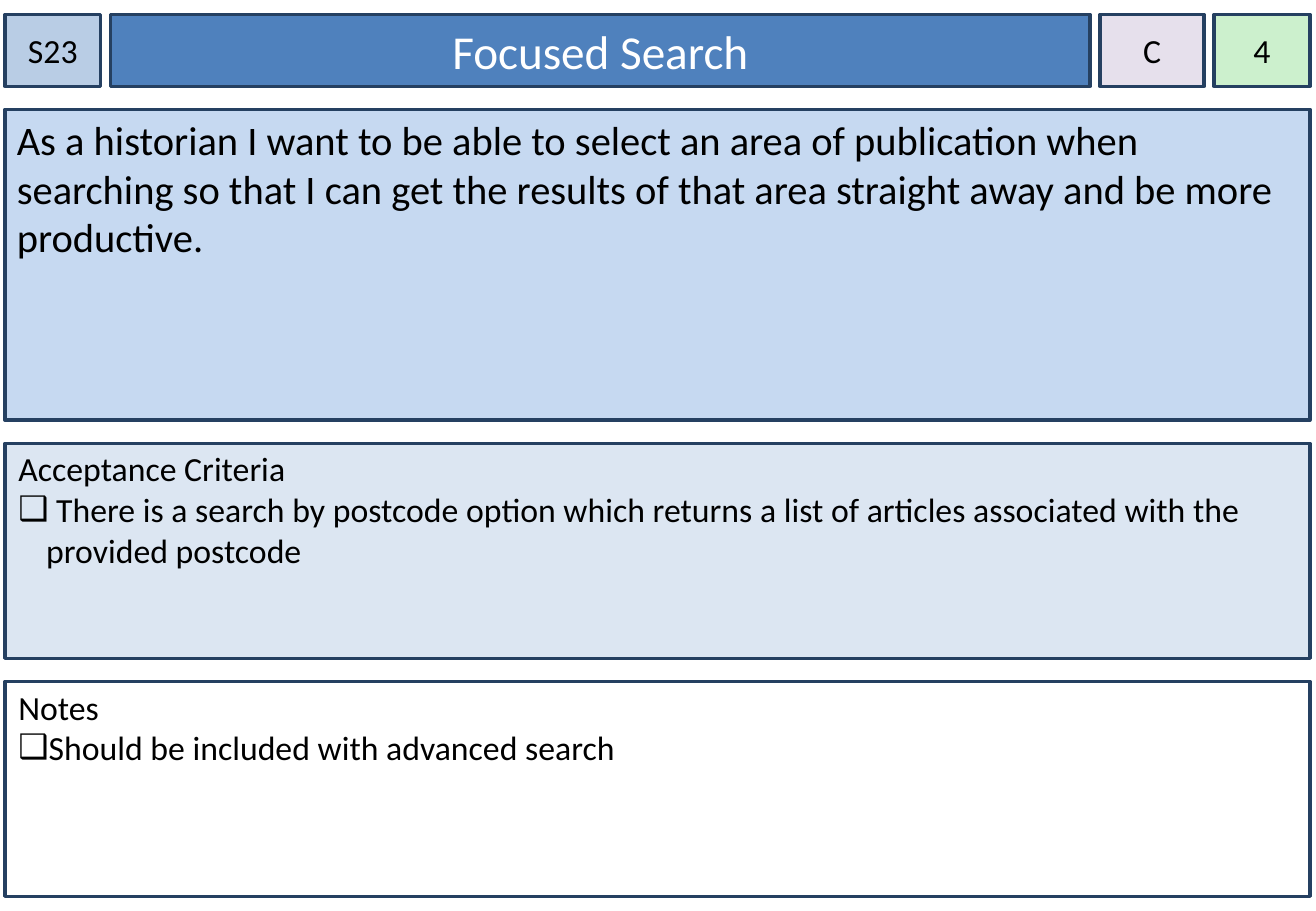
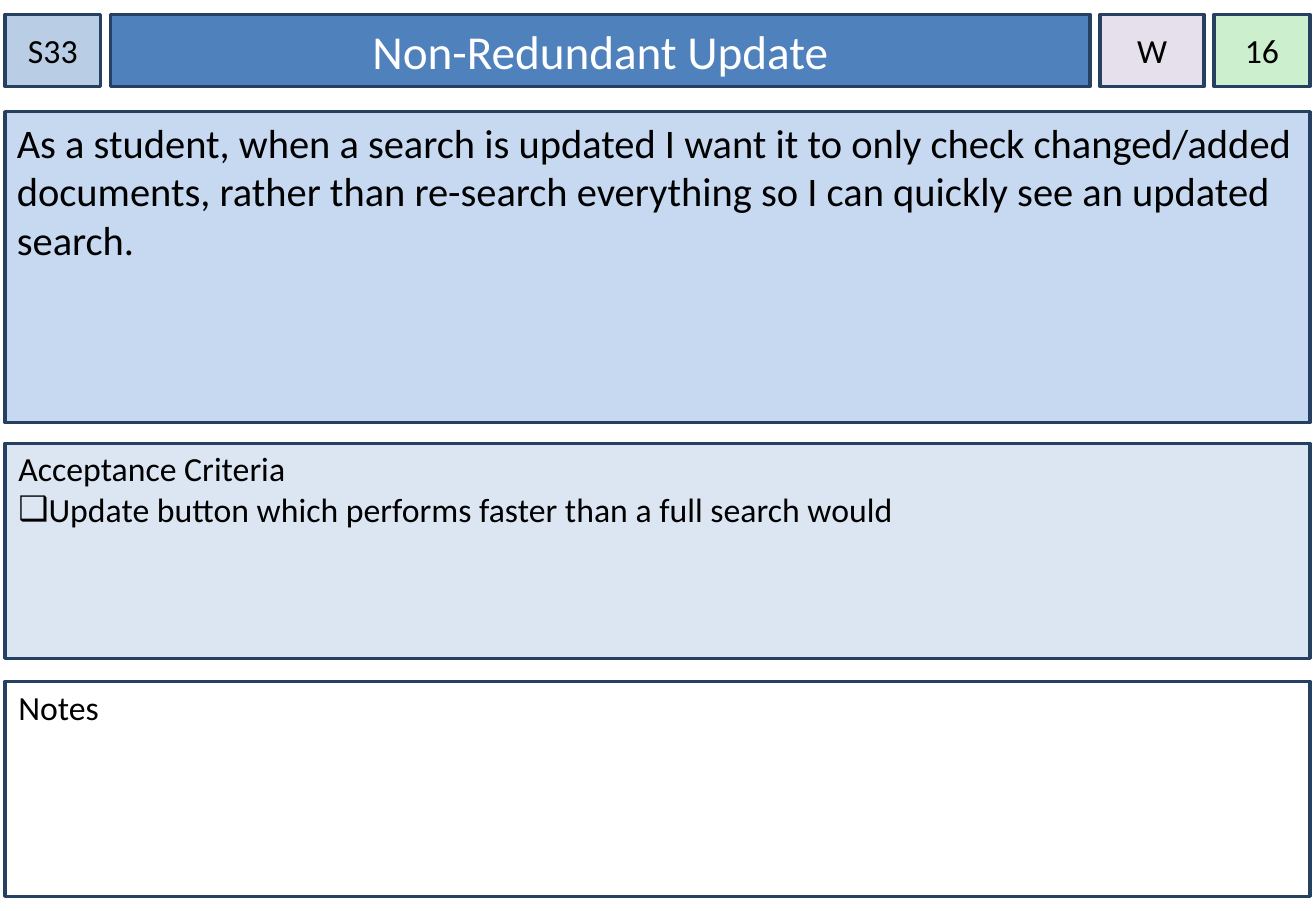
import pptx
import pptx.util
import pptx.dml.color
import pptx.enum.shapes
import pptx.enum.text
import lxml.etree

Inches, Pt = pptx.util.Inches, pptx.util.Pt
RGB = pptx.dml.color.RGBColor
ALIGN, ANCHOR = pptx.enum.text.PP_ALIGN, pptx.enum.text.MSO_ANCHOR

# Content
CARDS = [
    {
        "code": "S23", "title": "Focused Search", "rank": "C", "cost": "4",
        "top": 0.9,
        "story": "As a historian I want to be able to select an area of publication "
                 "when searching so that I can get the results of that area straight "
                 "away and be more productive.",
        "tests": [" There is a search by postcode option which returns a list of "
                  "articles associated with the provided postcode"],
        "notes": ["Should be included with advanced search"],
    },
    {
        "code": "S33", "title": "Non-Redundant Update", "rank": "W", "cost": "16",
        "top": 0.92,
        "story": "As a student, when a search is updated I want it to only check "
                 "changed/added documents, rather than re-search everything so I can "
                 "quickly see an updated search.",
        "tests": ["Update button which performs faster than a full search would"],
        "notes": [],
    },
]

# Shared style
FONT = "Calibri"
BLACK = RGB(0x00, 0x00, 0x00)
WHITE = RGB(0xFF, 0xFF, 0xFF)
NAVY = RGB(0x25, 0x40, 0x61)
BLUE = RGB(0x4F, 0x81, 0xBD)
STEEL = RGB(0xB9, 0xCD, 0xE5)
SKY = RGB(0xC6, 0xD9, 0xF1)
PALE = RGB(0xDC, 0xE6, 0xF2)
LILAC = RGB(0xE6, 0xE0, 0xEC)
MINT = RGB(0xCC, 0xF0, 0xCD)

# Layout, in inches
LEFT, WIDTH = 0.04, 10.75
HEAD_TOP, HEAD_HIGH, HEAD_GAP = 0.12, 0.59, 0.08
STORY_HIGH = 2.56
LIST_TOP, LIST_HIGH, LIST_GAP = 3.65, 1.77, 0.19
HEAD = [  # key, width, fill, text colour, size, side inset
    ("code", 0.79, STEEL, BLACK, 20, 0),
    ("title", 8.07, BLUE, WHITE, 28, 0.1),
    ("rank", 0.86, LILAC, BLACK, 20, 0),
    ("cost", 0.79, MINT, BLACK, 20, 0),
]
LISTS = [("tests", "Acceptance Criteria", PALE), ("notes", "Notes", WHITE)]


def add_rect(slide):
    return slide.shapes.add_shape(pptx.enum.shapes.MSO_SHAPE.RECTANGLE, 0, 0, 0, 0)


def style_box(shape, spot, fill, anchor, side=0.1, top=0.05):
    """Place and paint a box; return its text frame."""
    shape.left, shape.top, shape.width, shape.height = map(Inches, spot)
    shape.shadow.inherit = False
    shape.fill.solid()
    shape.fill.fore_color.rgb = fill
    shape.line.color.rgb = NAVY
    shape.line.width = Pt(2)
    frame = shape.text_frame
    frame.word_wrap = True
    frame.auto_size = pptx.enum.text.MSO_AUTO_SIZE.NONE
    frame.vertical_anchor = anchor
    frame.margin_left = frame.margin_right = Inches(side)
    frame.margin_top, frame.margin_bottom = Inches(top), Inches(0.05)
    return frame


def write(para, text, size, color=BLACK, align=ALIGN.LEFT):
    para.alignment = align
    para.space_before = Pt(0)
    run = para.add_run()
    run.text = text
    run.font.name, run.font.size = FONT, Pt(size)
    run.font.color.rgb = color


def set_bullet(para, mark=None):
    """Hang the paragraph, with a mark or with none."""
    props = para._p.get_or_add_pPr()
    props.set("marL", str(Inches(0.24)))
    props.set("indent", str(Inches(-0.23)))
    tag = pptx.oxml.ns.qn("a:buChar" if mark else "a:buNone")
    node = lxml.etree.SubElement(props, tag)
    if mark:
        node.set("char", mark)


def add_head(slide, card):
    left = LEFT
    for key, width, fill, color, size, side in HEAD:
        box = slide.shapes.title if key == "title" else add_rect(slide)
        spot = (left, HEAD_TOP, width, HEAD_HIGH)
        frame = style_box(box, spot, fill, ANCHOR.MIDDLE, side)
        write(frame.paragraphs[0], card[key], size, color, ALIGN.CENTER)
        left += width + HEAD_GAP


def add_story(slide, card):
    spot = (LEFT, card["top"], WIDTH, STORY_HIGH)
    frame = style_box(add_rect(slide), spot, SKY, ANCHOR.TOP)
    write(frame.paragraphs[0], card["story"], 24)


def add_lists(slide, card):
    for row, (key, label, fill) in enumerate(LISTS):
        top = LIST_TOP + row * (LIST_HIGH + LIST_GAP)
        spot = (LEFT, top, WIDTH, LIST_HIGH)
        box = slide.placeholders[row + 1]
        frame = style_box(box, spot, fill, ANCHOR.TOP, top=0.04)
        para = frame.paragraphs[0]
        write(para, label, 20)
        set_bullet(para)
        for item in card[key]:
            para = frame.add_paragraph()
            write(para, item, 20)
            set_bullet(para, "❑")


def main():
    deck = pptx.Presentation()
    deck.slide_width, deck.slide_height = Inches(10.84), Inches(7.5)
    for card in CARDS:
        # Layout 3 holds a title and two bodies
        slide = deck.slides.add_slide(deck.slide_layouts[3])
        add_head(slide, card)
        add_story(slide, card)
        add_lists(slide, card)
    deck.save("out.pptx")


if __name__ == "__main__":
    main()
